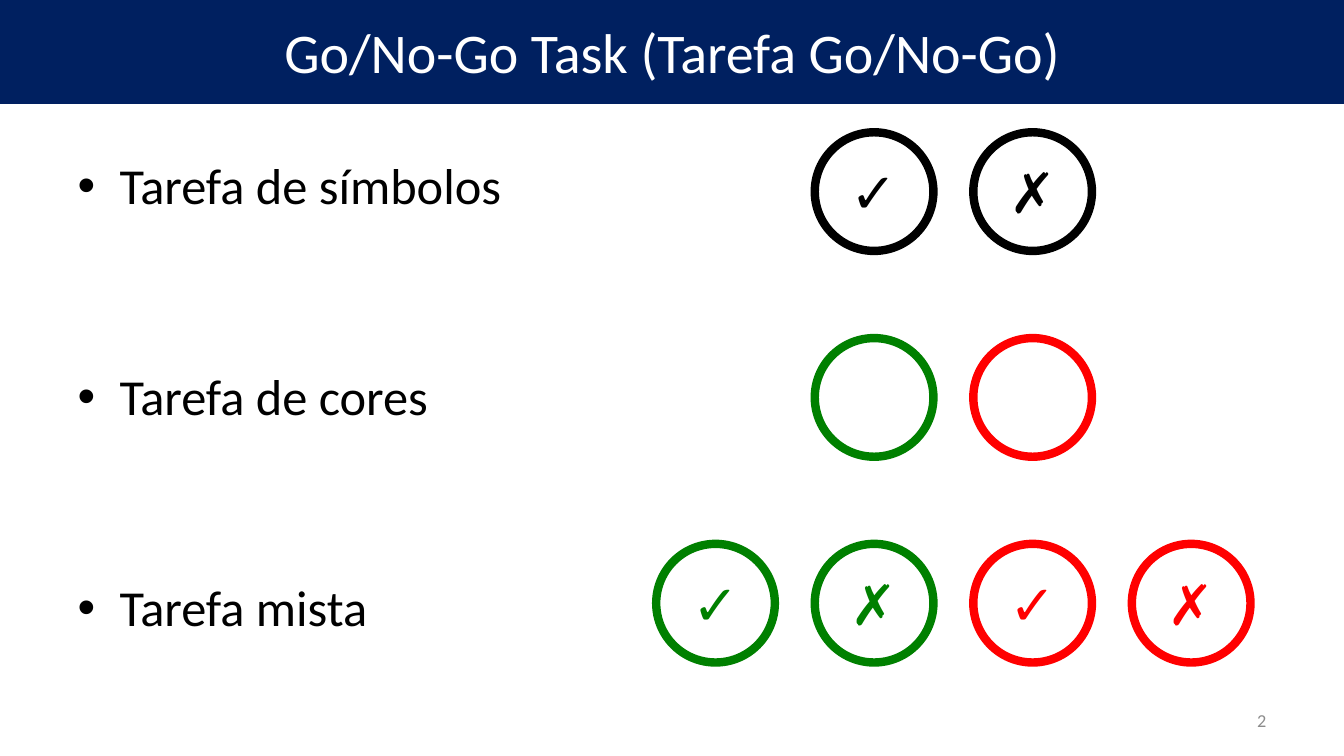
from dataclasses import dataclass

from lxml import etree
from pptx import Presentation
from pptx.dml.color import RGBColor
from pptx.enum.shapes import MSO_SHAPE
from pptx.enum.text import MSO_ANCHOR, MSO_AUTO_SIZE, PP_ALIGN
from pptx.oxml.ns import qn
from pptx.util import Emu, Pt

OVAL = MSO_SHAPE.OVAL
MIDDLE, TOP = MSO_ANCHOR.MIDDLE, MSO_ANCHOR.TOP
NO_AUTO_SIZE = MSO_AUTO_SIZE.NONE
LEFT, CENTER, RIGHT = PP_ALIGN.LEFT, PP_ALIGN.CENTER, PP_ALIGN.RIGHT

NAVY = RGBColor(0x00, 0x20, 0x60)
WHITE = RGBColor(0xFF, 0xFF, 0xFF)
BLACK = RGBColor(0x00, 0x00, 0x00)
GREEN = RGBColor(0x00, 0x80, 0x00)
RED = RGBColor(0xFF, 0x00, 0x00)
GRAY = RGBColor(0x8C, 0x8C, 0x8C)

EMU_PER_PX = 9525
CIRCLE_SIZE = 113
CIRCLE_LEFT, CIRCLE_TOP = 625, 126
COLUMN_STEP, ROW_STEP = 151, 196
BULLET_INDENT = 40
CHECK, CROSS = "✓", "✗"


@dataclass(frozen=True)
class Stimulus:
    color: RGBColor
    mark: str = ""


@dataclass(frozen=True)
class Task:
    name: str
    first_column: int
    stimuli: tuple[Stimulus, ...]


TASKS = (
    Task("Tarefa de símbolos", 1, (Stimulus(BLACK, CHECK), Stimulus(BLACK, CROSS))),
    Task("Tarefa de cores", 1, (Stimulus(GREEN), Stimulus(RED))),
    Task("Tarefa mista", 0, (Stimulus(GREEN, CHECK), Stimulus(GREEN, CROSS),
                             Stimulus(RED, CHECK), Stimulus(RED, CROSS))),
)


def px(length: int) -> Emu:
    return Emu(length * EMU_PER_PX)


def place(shape, left: int, top: int, width: int, height: int) -> None:
    shape.left, shape.top = px(left), px(top)
    shape.width, shape.height = px(width), px(height)


def format_frame(shape, anchor, horizontal: int = 10, vertical: int = 6):
    """Set anchor and insets, switch off text fitting, and return the frame."""
    frame = shape.text_frame
    frame.word_wrap = True
    frame.auto_size = NO_AUTO_SIZE
    frame.vertical_anchor = anchor
    frame.margin_left = frame.margin_right = px(horizontal)
    frame.margin_top = frame.margin_bottom = px(vertical)
    return frame


def write(paragraph, text: str, *, size: int, color: RGBColor,
          align=LEFT, bold: bool = False, space_before: float = 0) -> None:
    paragraph.alignment = align
    paragraph.space_before = Pt(space_before)
    run = paragraph.add_run()
    run.text = text
    run.font.name = "Calibri"
    run.font.size = Pt(size)
    run.font.bold = bold
    run.font.color.rgb = color


def add_bullet(paragraph) -> None:
    properties = paragraph._p.get_or_add_pPr()
    properties.set("marL", str(px(BULLET_INDENT)))
    properties.set("indent", str(-px(BULLET_INDENT)))
    etree.SubElement(properties, qn("a:buFont")).set("typeface", "Arial")
    etree.SubElement(properties, qn("a:buChar")).set("char", "•")


def draw_title(title) -> None:
    place(title, 0, 0, 1280, 98)
    title.fill.solid()
    title.fill.fore_color.rgb = NAVY
    title.line.color.rgb = NAVY
    title.line.width = Pt(2)
    frame = format_frame(title, MIDDLE)
    write(frame.paragraphs[0], "Go/No-Go Task (Tarefa Go/No-Go)",
          size=40, color=WHITE, align=CENTER)


def draw_task_list(body) -> None:
    place(body, 64, 141, 1165, 527)
    frame = format_frame(body, TOP)
    for row, task in enumerate(TASKS):
        paragraph = frame.add_paragraph() if row else frame.paragraphs[0]
        add_bullet(paragraph)
        write(paragraph, task.name, size=36, color=BLACK,
              space_before=107.5 if row else 0)


def draw_stimulus(group, stimulus: Stimulus, column: int, row: int) -> None:
    circle = group.shapes.add_shape(OVAL, 0, 0, 0, 0)
    place(circle, CIRCLE_LEFT + column * COLUMN_STEP, CIRCLE_TOP + row * ROW_STEP,
          CIRCLE_SIZE, CIRCLE_SIZE)
    circle.shadow.inherit = False
    circle.fill.background()
    circle.line.color.rgb = stimulus.color
    circle.line.width = Pt(6)
    if stimulus.mark:
        frame = format_frame(circle, MIDDLE, 0, 0)
        write(frame.paragraphs[0], stimulus.mark, size=40,
              color=stimulus.color, align=CENTER, bold=True)


def draw_slide_number(slide) -> None:
    box = slide.shapes.add_textbox(0, 0, 0, 0)
    place(box, 917, 667, 299, 38)
    frame = format_frame(box, MIDDLE)
    write(frame.paragraphs[0], "2", size=13, color=GRAY, align=RIGHT)


def main() -> None:
    presentation = Presentation()
    presentation.slide_width, presentation.slide_height = px(1280), px(720)
    slide = presentation.slides.add_slide(presentation.slide_layouts[1])
    draw_title(slide.shapes.title)
    draw_task_list(slide.placeholders[1])
    for row, task in enumerate(TASKS):
        group = slide.shapes.add_group_shape()
        for column, stimulus in enumerate(task.stimuli, task.first_column):
            draw_stimulus(group, stimulus, column, row)
    draw_slide_number(slide)
    presentation.save("out.pptx")


if __name__ == "__main__":
    main()
